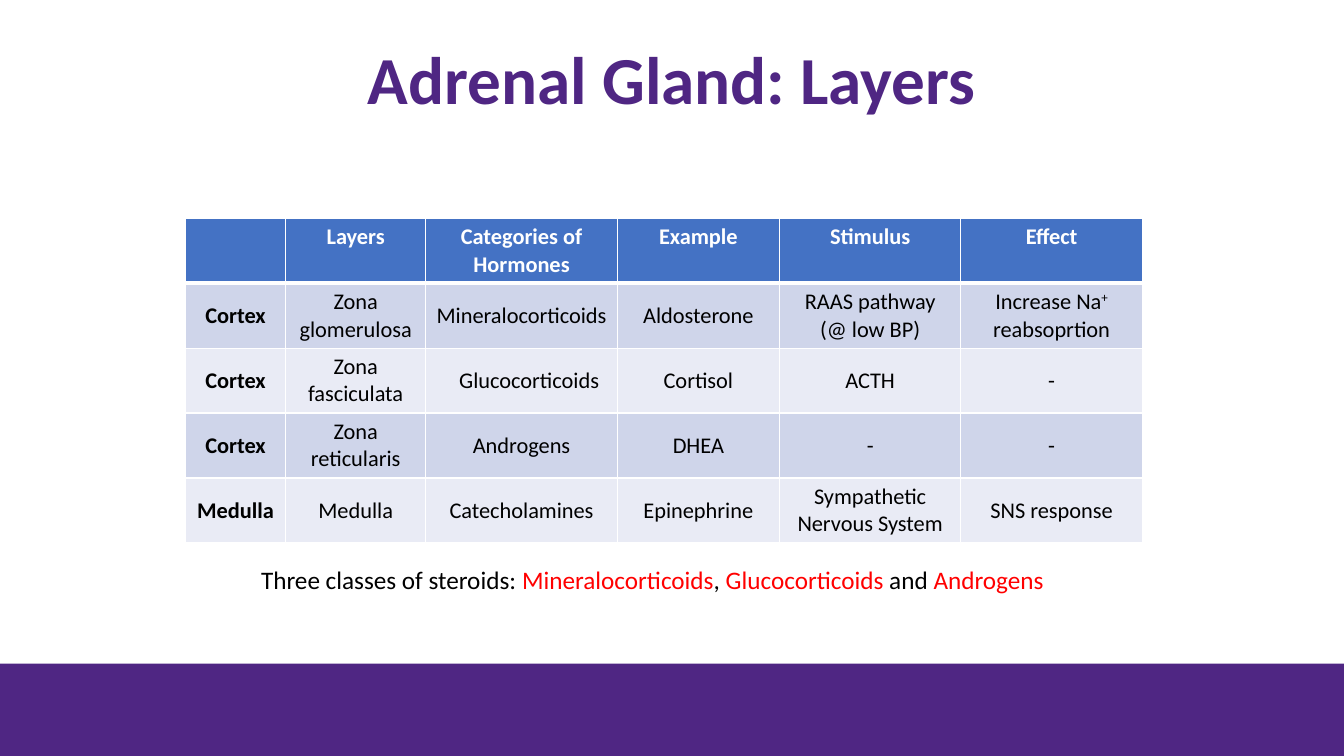
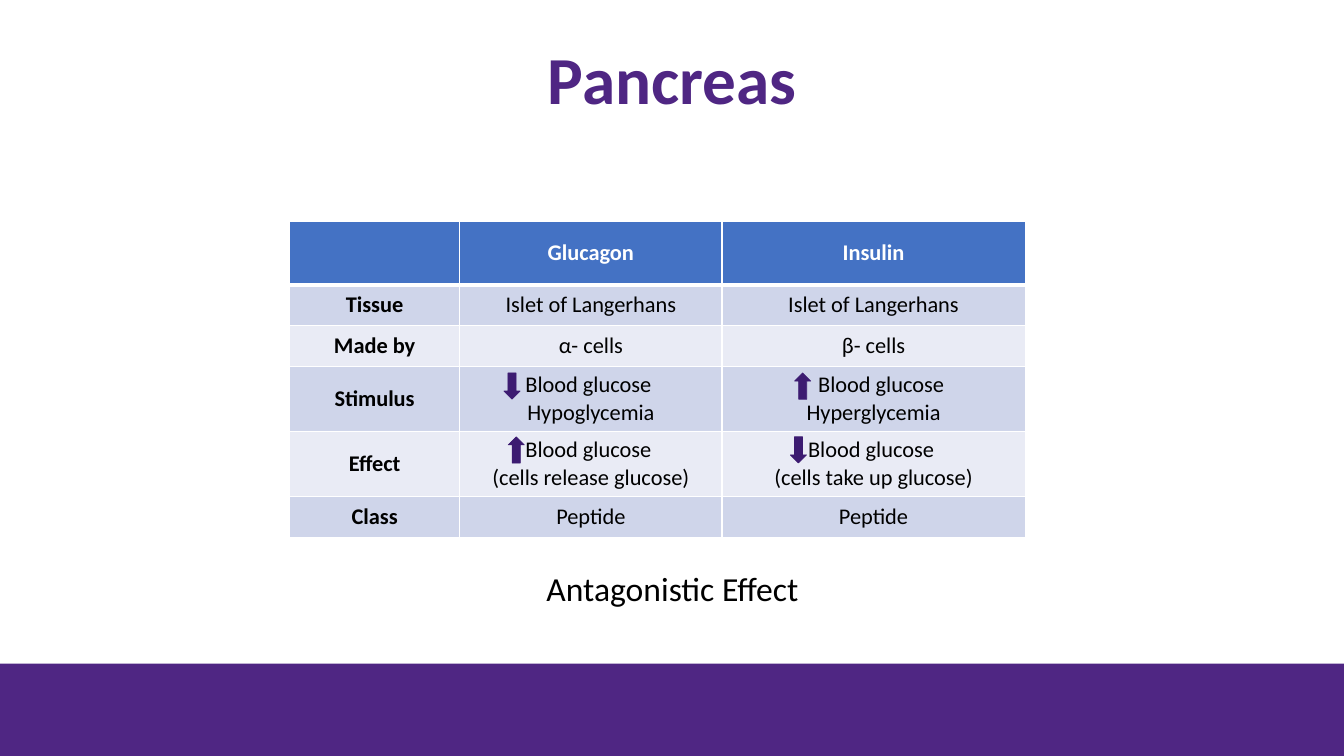
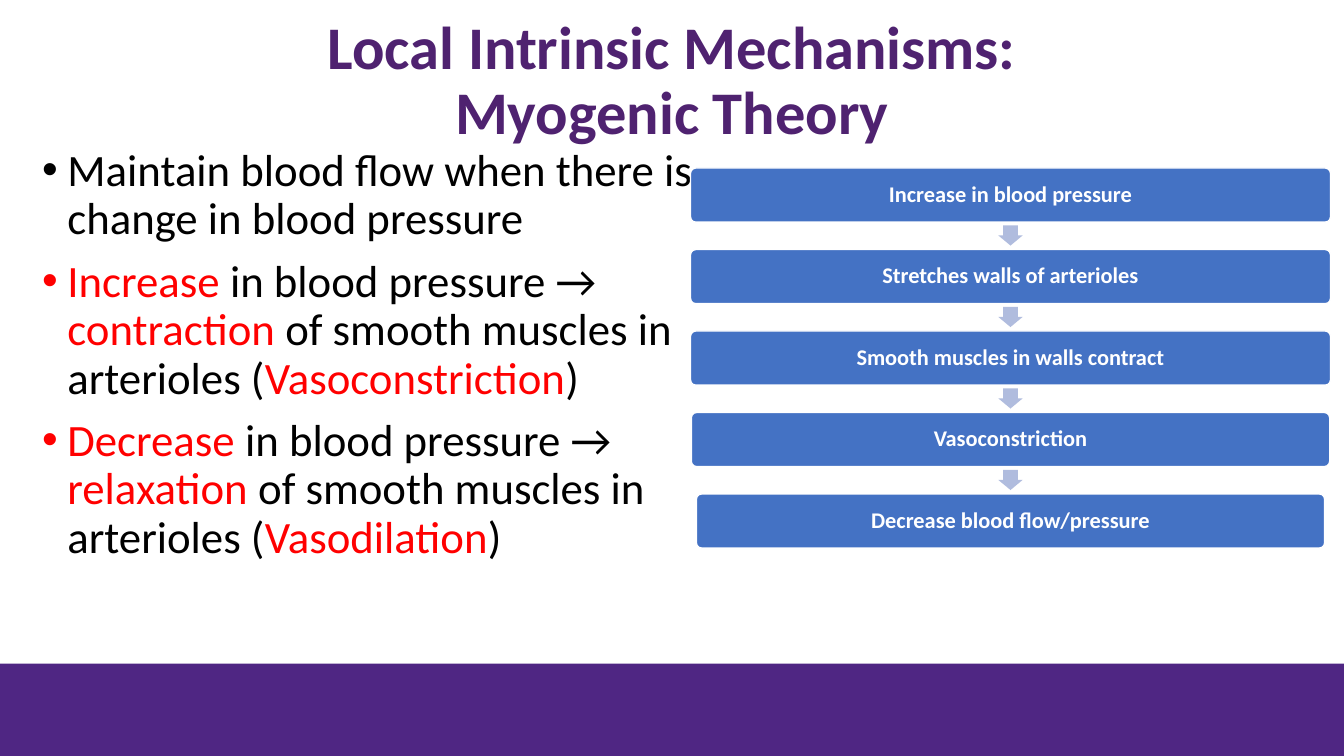
"""Build three physiology slides on a grid of 160 columns by 90 rows."""
import lxml.etree
import pptx
import pptx.dml.color
import pptx.enum.shapes
import pptx.enum.text
import pptx.oxml.ns
import pptx.util

RGB = pptx.dml.color.RGBColor
PURPLE = RGB(0x4F, 0x26, 0x83)
PLUM = RGB(0x4F, 0x22, 0x70)
VIOLET = RGB(0x3C, 0x1B, 0x71)
BLUE = RGB(0x44, 0x72, 0xC4)
MIST = RGB(0xB0, 0xBC, 0xDE)
BANDS = RGB(0xCF, 0xD5, 0xEA), RGB(0xE9, 0xEB, 0xF5)
WHITE = RGB(0xFF, 0xFF, 0xFF)
BLACK = RGB(0, 0, 0)
RED = RGB(0xFF, 0, 0)

FORM = pptx.enum.shapes.MSO_SHAPE
MID = pptx.enum.text.MSO_ANCHOR.MIDDLE
TOP = pptx.enum.text.MSO_ANCHOR.TOP
MIDST = {"alignment": pptx.enum.text.PP_ALIGN.CENTER}
TIGHT = {"line_spacing": 0.9}
HOT = {"rgb": RED}
RAISED = {"baseline": "30000"}
qn = pptx.oxml.ns.qn


def unit(num):
    return pptx.util.Inches(num / 12)


def face(size, rgb=BLACK, bold=False):
    return {"name": "Calibri", "size": pptx.util.Pt(size), "bold": bold, "rgb": rgb}


class Deck:
    """Hold the shared style and the current slide."""

    def __init__(self):
        self.show = pptx.Presentation()
        self.show.slide_width, self.show.slide_height = unit(160), unit(90)
        self.slide = None

    def dress(self, font, style):
        for key, val in style.items():
            if key == "rgb":
                font.color.rgb = val
            elif key == "baseline":
                font._rPr.set(key, val)
            else:
                setattr(font, key, val)

    def put(self, frame, text, style, para, accent=HOT, bullet=False):
        for row, line in enumerate(text.split("\n")):
            par = frame.add_paragraph() if row else frame.paragraphs[0]
            for key, val in para.items():
                if row or key != "space_before":
                    setattr(par, key, val)
            props = par._p.get_or_add_pPr()
            if bullet:
                props.set("marL", str(unit(3)))
                props.set("indent", str(unit(-3)))
                lxml.etree.SubElement(props, qn("a:buFont")).set("typeface", "Arial")
                lxml.etree.SubElement(props, qn("a:buChar")).set("char", "•")
            elif line.startswith(">"):
                props.set("marL", str(unit(1.8)))
            for turn, bit in enumerate(line.lstrip(">").split("|")):
                for part, words in enumerate(bit.split("\v")):
                    if part:
                        par.add_line_break()
                    if words:
                        run = par.add_run()
                        run.text = words
                        self.dress(run.font, {**style, **(accent if turn % 2 else {})})

    def page(self, title, size=48, rgb=PURPLE):
        self.slide = self.show.slides.add_slide(self.show.slide_layouts[5])
        head = self.slide.shapes.title
        head.left, head.top, head.width, head.height = map(unit, (11, 2.6, 138, 14.4))
        head.text_frame.auto_size = pptx.enum.text.MSO_AUTO_SIZE.NONE
        head.text_frame.vertical_anchor = MID
        self.put(head.text_frame, title, face(size, rgb, True), {**MIDST, **TIGHT})
        self.shape(FORM.RECTANGLE, (0, 79, 160, 11), PURPLE)

    def shape(self, form, box, fill, line=None, width=1, turn=0, bends=()):
        item = self.slide.shapes.add_shape(form, *map(unit, box))
        item.shadow.inherit = False
        item.fill.solid()
        item.fill.fore_color.rgb = fill
        if line is None:
            item.line.fill.background()
        else:
            item.line.color.rgb = line
            item.line.width = pptx.util.Pt(width)
        item.rotation = turn
        for num, bend in enumerate(bends):
            item.adjustments[num] = bend
        return item

    def text(self, box, text, size, para, bullet=False):
        frame = self.slide.shapes.add_textbox(*map(unit, box)).text_frame
        frame.word_wrap = True
        self.put(frame, text, face(size), para, bullet=bullet)

    def edge(self, cell, row):
        props = cell._tc.get_or_add_tcPr()
        for num, side in enumerate("LRTB"):
            thick = (row, side) in ((0, "B"), (1, "T"))
            line = lxml.etree.Element(qn("a:ln" + side), w=str(pptx.util.Pt(3 if thick else 1)))
            fill = lxml.etree.SubElement(line, qn("a:solidFill"))
            lxml.etree.SubElement(fill, qn("a:srgbClr")).set("val", str(WHITE))
            props.insert(num, line)

    def table(self, left, top, cols, rows, data, anchor=MID):
        box = map(unit, (left, top, sum(cols), sum(rows)))
        grid = self.slide.shapes.add_table(len(rows), len(cols), *box).table
        for col, wide in zip(grid.columns, cols):
            col.width = unit(wide)
        for num, (row, high) in enumerate(zip(grid.rows, rows)):
            row.height = unit(high)
            for col, (cell, text) in enumerate(zip(row.cells, data[num])):
                cell.fill.solid()
                cell.fill.fore_color.rgb = BANDS[(num - 1) % 2] if num else BLUE
                cell.vertical_anchor = MID if num else anchor
                style = face(16, BLACK if num else WHITE, not num or not col)
                self.put(cell.text_frame, text, style, MIDST, RAISED)
                self.edge(cell, num)

    def flow(self, steps):
        for num, (text, wide) in enumerate(steps):
            top = 20 + 9.7 * num
            box = (120.3 - wide / 2, top, wide, 6.45)
            item = self.shape(FORM.ROUNDED_RECTANGLE, box, BLUE, WHITE, bends=(0.1,))
            item.text_frame.word_wrap = True
            item.text_frame.vertical_anchor = MID
            self.put(item.text_frame, text, face(16, WHITE, True), {**MIDST, **TIGHT})
            if num < len(steps) - 1:
                box = (119.1, top + 6.6, 2.4, 2.88)
                self.shape(FORM.RIGHT_ARROW, box, MIST, turn=90, bends=(0.6, 0.5))


def main():
    deck = Deck()

    deck.page("Adrenal Gland: Layers")
    deck.table(22.1, 26, (11.9, 16.7, 22.8, 19.3, 21.6, 21.6), [7.72] * 5, (
        ("", "Layers", "Categories of Hormones", "Example", "Stimulus", "Effect"),
        ("Cortex", "Zona glomerulosa", "Mineralocorticoids", "Aldosterone",
         "RAAS pathway (@ low BP)", "Increase Na|+ |reabsoprtion"),
        ("Cortex", "Zona fasciculata", ">Glucocorticoids", "Cortisol", "ACTH", "-"),
        ("Cortex", "Zona reticularis", "Androgens", "DHEA", "-", "-"),
        ("Medulla", "Medulla", "Catecholamines", "Epinephrine",
         "Sympathetic Nervous System", "SNS response"),
    ), TOP)
    deck.text((29.9, 66.6, 98.1, 4.8),
              "Three classes of steroids: |Mineralocorticoids|, |Glucocorticoids| and |Androgens",
              18, {})

    deck.page("Pancreas")
    deck.table(34.45, 26.3, (20.3, 31.2, 36.1), (7.6, 4.87, 4.87, 7.74, 7.74, 4.87), (
        ("", "Glucagon", "Insulin"),
        ("Tissue", "Islet of Langerhans", "Islet of Langerhans"),
        ("Made by", "α- cells", "β- cells"),
        ("Stimulus", "Blood glucose \nHypoglycemia", ">Blood glucose\nHyperglycemia"),
        ("Effect", "Blood glucose \n(cells release glucose)",
         "Blood glucose \n(cells take up glucose)"),
        ("Class", "Peptide", "Peptide"),
    ))
    for left, top, turn in ((94.6, 44.4, 180), (60.5, 52, 180), (60, 44.4, 0), (94.1, 52, 0)):
        deck.shape(FORM.DOWN_ARROW, (left, top, 1.92, 3.12), VIOLET, VIOLET, 0.5, turn)
    deck.text((54.1, 67, 51.9, 6), "Antagonistic Effect", 24, MIDST)

    deck.page("Local Intrinsic Mechanisms:\vMyogenic Theory", 43.2, PLUM)
    deck.text((3.84, 17, 80, 58.9),
              "Maintain blood flow when there is change in blood pressure\n"
              "|Increase| in blood pressure → |contraction| of smooth muscles in "
              "arterioles (|Vasoconstriction|)\n"
              "|Decrease| in blood pressure → |relaxation| of smooth muscles in "
              "arterioles (|Vasodilation|)",
              32, {**TIGHT, "space_before": pptx.util.Pt(10)}, True)
    deck.flow((
        ("Increase in blood pressure", 76.2),
        ("Stretches walls of arterioles", 76.2),
        ("Smooth muscles in walls contract", 76.2),
        ("Vasoconstriction", 76),
        ("Decrease blood flow/pressure", 74.8),
    ))
    deck.show.save("out.pptx")


if __name__ == "__main__":
    main()
